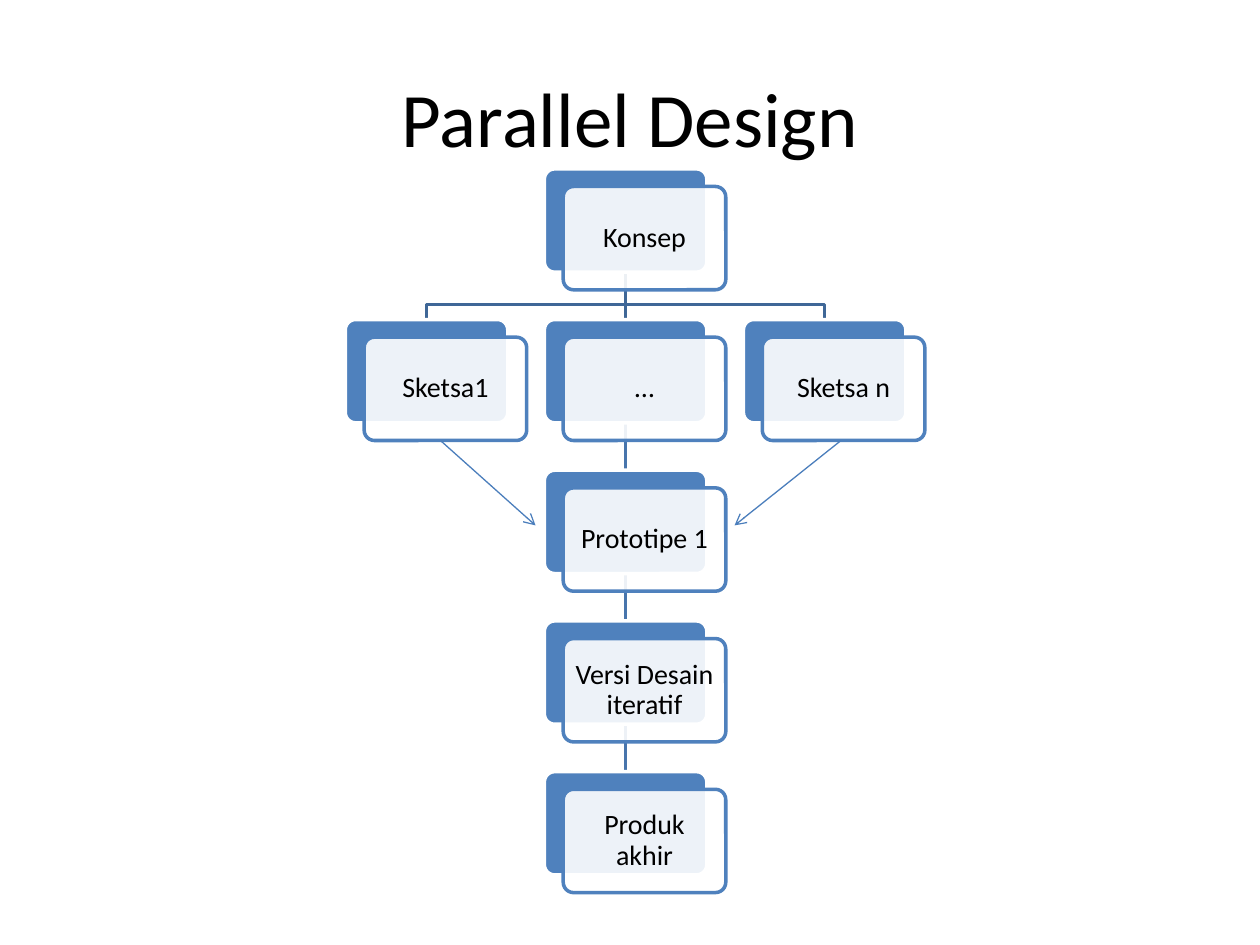
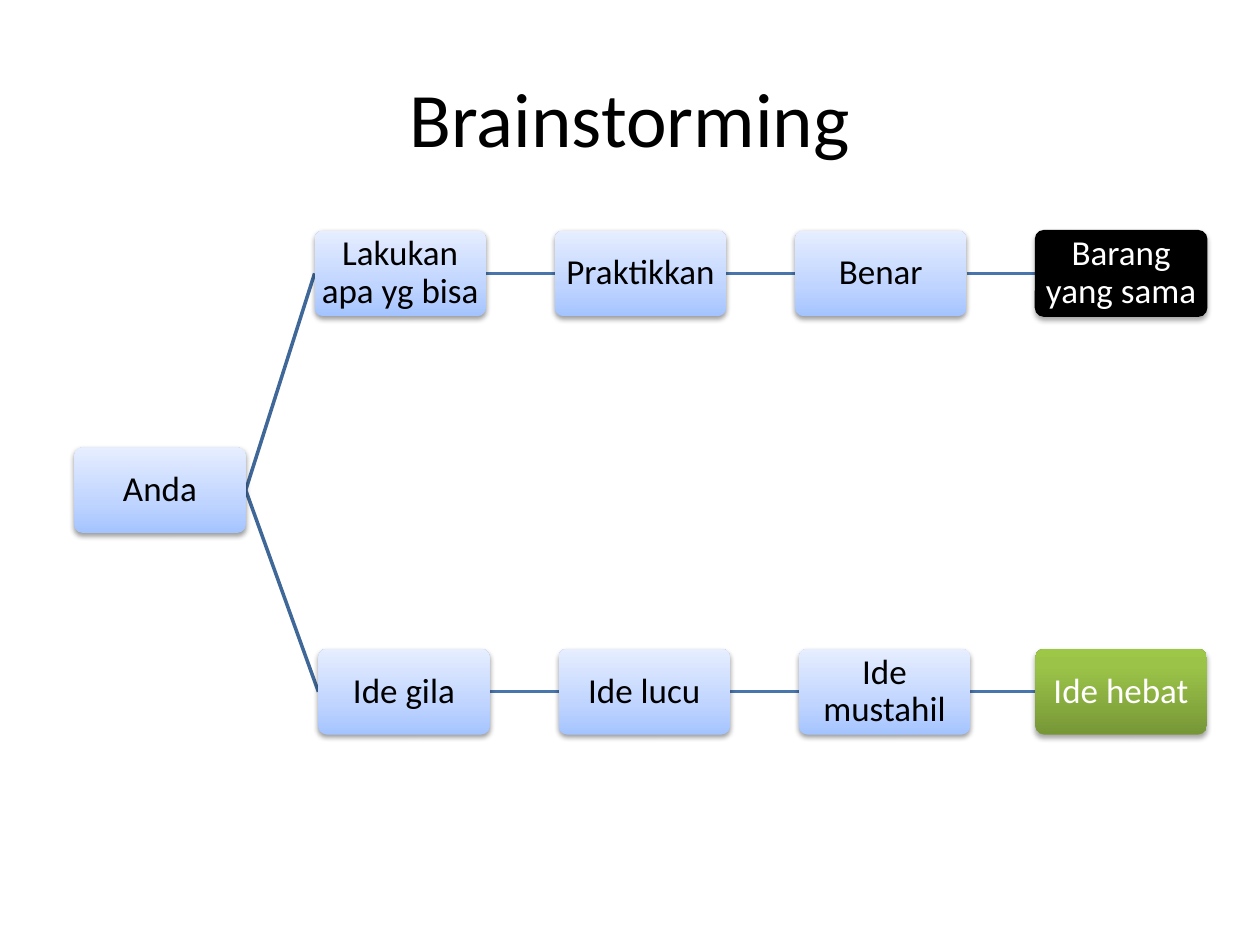
from dataclasses import dataclass

from lxml import etree
from pptx import Presentation
from pptx.dml.color import RGBColor
from pptx.enum.shapes import MSO_CONNECTOR, MSO_SHAPE
from pptx.enum.text import MSO_ANCHOR, PP_ALIGN
from pptx.oxml.ns import qn
from pptx.util import Inches, Pt

STRAIGHT = MSO_CONNECTOR.STRAIGHT
ROUNDED = MSO_SHAPE.ROUNDED_RECTANGLE
MIDDLE = MSO_ANCHOR.MIDDLE
CENTER = PP_ALIGN.CENTER
TOP, LEFT, BOTTOM, RIGHT = range(4)
TITLE_ONLY = 5


@dataclass(frozen=True)
class Theme:
    font: str = "Calibri"
    title_size: int = 44
    card_size: int = 16
    idea_size: int = 20
    black: str = "000000"
    white: str = "FFFFFF"
    blue: str = "4F81BD"
    first_link: str = "3F6797"
    next_link: str = "4875AC"
    arrow: str = "4B7EBC"
    link_width: float = 2
    thin_width: float = 0.75
    pale_blue: tuple = ((0, "A4C4FF"), (35, "BFD4FF"), (100, "E6EEFF"))
    green: tuple = ((0, "779737"), (80, "9BC348"), (100, "9DC746"))


@dataclass(frozen=True)
class Grid:
    """Equal cells, each found by its column and row, in inches."""
    left: float
    top: float
    column_step: float
    row_step: float
    width: float
    height: float

    def cell(self, column, row, shift_x=0, shift_y=0):
        return (self.left + column * self.column_step + shift_x,
                self.top + row * self.row_step + shift_y, self.width, self.height)


THEME = Theme()
CARDS = Grid(2.74, 1.34, 1.58, 1.196, 1.29, 0.82)
IDEAS = Grid(0.59, 1.83, 1.907, 1.66, 1.36, 0.68)


def set_values(target, values):
    for name, value in values.items():
        setattr(target, name, value)


def add_child(parent, tag, **values):
    child = etree.SubElement(parent, qn(tag))
    for name, value in values.items():
        child.set(name, str(value))
    return child


# Text
def write(frame, text, size, color):
    para = frame.paragraphs[0]
    para.alignment = CENTER
    span = para.add_run()
    span.text = text
    set_values(span.font, {"name": THEME.font, "size": Pt(size)})
    span.font.color.rgb = RGBColor.from_string(color)
    return para


def add_titled_page(deck, text):
    page = deck.slides.add_slide(deck.slide_layouts[TITLE_ONLY])
    title = page.shapes.title
    set_values(title, {"left": Inches(0.5), "top": Inches(0.3),
                       "width": Inches(9), "height": Inches(1.25)})
    title.text_frame.vertical_anchor = MIDDLE
    write(title.text_frame, text, THEME.title_size, THEME.black)
    return page


def fill_box(box, text, size, color, inset):
    frame = box.text_frame
    margins = {f"margin_{side}": Inches(inset)
               for side in ("left", "top", "right", "bottom")}
    set_values(frame, {"word_wrap": True, "vertical_anchor": MIDDLE, **margins})
    write(frame, text, size, color).line_spacing = 0.9


# Boxes
def set_line(shape, color, width):
    shape.line.color.rgb = RGBColor.from_string(color)
    shape.line.width = Pt(width)


def set_fill(box, fill):
    """Fill with one colour, or with a gradient of (percent, colour) stops."""
    if isinstance(fill, str):
        box.fill.solid()
        box.fill.fore_color.rgb = RGBColor.from_string(fill)
        return
    box.fill.gradient()
    box.fill.gradient_angle = 90
    stops = next(box._element.spPr.iter(qn("a:gsLst")))
    for stop in list(stops):
        stops.remove(stop)
    for percent, color in fill:
        stop = add_child(stops, "a:gs", pos=percent * 1000)
        add_child(stop, "a:srgbClr", val=color)


def add_box(page, place, fill, line=None, width=THEME.link_width):
    box = page.shapes.add_shape(ROUNDED, *map(Inches, place))
    box.adjustments[0] = 0.1
    box.shadow.inherit = False
    set_fill(box, fill)
    if line:
        set_line(box, line, width)
    else:
        box.line.fill.background()
    return box


def add_shadow(box, opacity, distance):
    effects = box._element.spPr.find(qn("a:effectLst"))
    shadow = add_child(effects, "a:outerShdw", blurRad=Pt(3.1), dist=Pt(distance),
                       dir=90 * 60000, rotWithShape=0)
    color = add_child(shadow, "a:srgbClr", val=THEME.black)
    add_child(color, "a:alpha", val=opacity * 1000)


def add_card(page, text, column, row):
    """A blue card with a translucent labelled card in front; returns the blue one."""
    back = add_box(page, CARDS.cell(column, row), THEME.blue, THEME.white)
    front = add_box(page, CARDS.cell(column, row, 0.15, 0.14), THEME.white, THEME.blue)
    color = next(front._element.spPr.iter(qn("a:srgbClr")))
    add_child(color, "a:alpha", val=90000)
    fill_box(front, text, THEME.card_size, THEME.black, 0.07)
    return back


def add_idea(page, text, place, fill=THEME.pale_blue):
    plain = fill == THEME.pale_blue
    line = fill if isinstance(fill, str) else None
    box = add_box(page, place, fill, line, THEME.thin_width)
    add_shadow(box, *((38, 1.6) if plain else (35, 1.8)))
    fill_box(box, text, THEME.idea_size, THEME.black if plain else THEME.white, 0.01)
    return box


# Lines
def send_to_back(page, shape):
    page.shapes._spTree.insert(2, shape._element)


def add_line(page, start, end, color, width):
    line = page.shapes.add_connector(STRAIGHT, *map(Inches, (*start, *end)))
    set_line(line, color, width)
    add_child(line._element.spPr, "a:effectLst")
    return line


def join(page, first, first_side, second, second_side, color):
    line = add_line(page, (0, 0), (0, 0), color, THEME.link_width)
    line.begin_connect(first, first_side)
    line.end_connect(second, second_side)
    send_to_back(page, line)


def add_arrow(page, start, end):
    line = add_line(page, start, end, THEME.arrow, THEME.thin_width)
    add_child(line.line._get_or_add_ln(), "a:tailEnd", type="arrow")


def add_branch(page, parent, child):
    """A bent line from the parent's bottom to the child's top."""
    start_x = parent.left + parent.width // 2
    start_y = parent.top + parent.height
    end_x = child.left + child.width // 2
    bend_y = child.top - Inches(0.12)
    builder = page.shapes.build_freeform(start_x, start_y)
    builder.add_line_segments(
        [(start_x, bend_y), (end_x, bend_y), (end_x, child.top)], close=False)
    branch = builder.convert_to_shape()
    branch.shadow.inherit = False
    branch.fill.background()
    set_line(branch, THEME.first_link, THEME.link_width)
    send_to_back(page, branch)


# Slides
def build_parallel_design(deck):
    page = add_titled_page(deck, "Parallel Design")
    steps = ("Konsep", "…", "Prototipe 1", "Versi Desain iteratif", "Produk akhir")
    trunk = [add_card(page, text, 1, row) for row, text in enumerate(steps)]
    for column, text in ((0, "Sketsa1"), (2, "Sketsa n")):
        add_branch(page, trunk[0], add_card(page, text, column, 1))
    for row, (upper, lower) in enumerate(zip(trunk, trunk[1:])):
        color = THEME.next_link if row else THEME.first_link
        join(page, upper, BOTTOM, lower, TOP, color)
    add_arrow(page, (3.5, 3.5), (4.25, 4.17))
    add_arrow(page, (6.67, 3.5), (5.83, 4.17))


def build_brainstorming(deck):
    page = add_titled_page(deck, "Brainstorming")
    root = add_idea(page, "Anda", IDEAS.cell(0, 1, 0, 0.06))
    # Each path: row, shift of its inner ideas, labels, fill of its result
    paths = (
        (0, 0, ("Lakukan apa yg bisa", "Praktikkan", "Benar", "Barang yang sama"),
         THEME.black),
        (2, 0.03, ("Ide gila", "Ide lucu", "Ide mustahil", "Ide hebat"), THEME.green),
    )
    for row, shift, labels, result_fill in paths:
        chain = [root]
        for column, text in enumerate(labels[:-1], start=1):
            chain.append(add_idea(page, text, IDEAS.cell(column, row, shift)))
        result_place = IDEAS.cell(len(labels), row)
        chain.append(add_idea(page, labels[-1], result_place, result_fill))
        for step, (first, second) in enumerate(zip(chain, chain[1:])):
            color = THEME.next_link if step else THEME.first_link
            join(page, first, RIGHT, second, LEFT, color)


def main():
    deck = Presentation()
    set_values(deck, {"slide_width": Inches(10), "slide_height": Inches(7.5)})
    build_parallel_design(deck)
    build_brainstorming(deck)
    deck.save("out.pptx")


if __name__ == "__main__":
    main()
